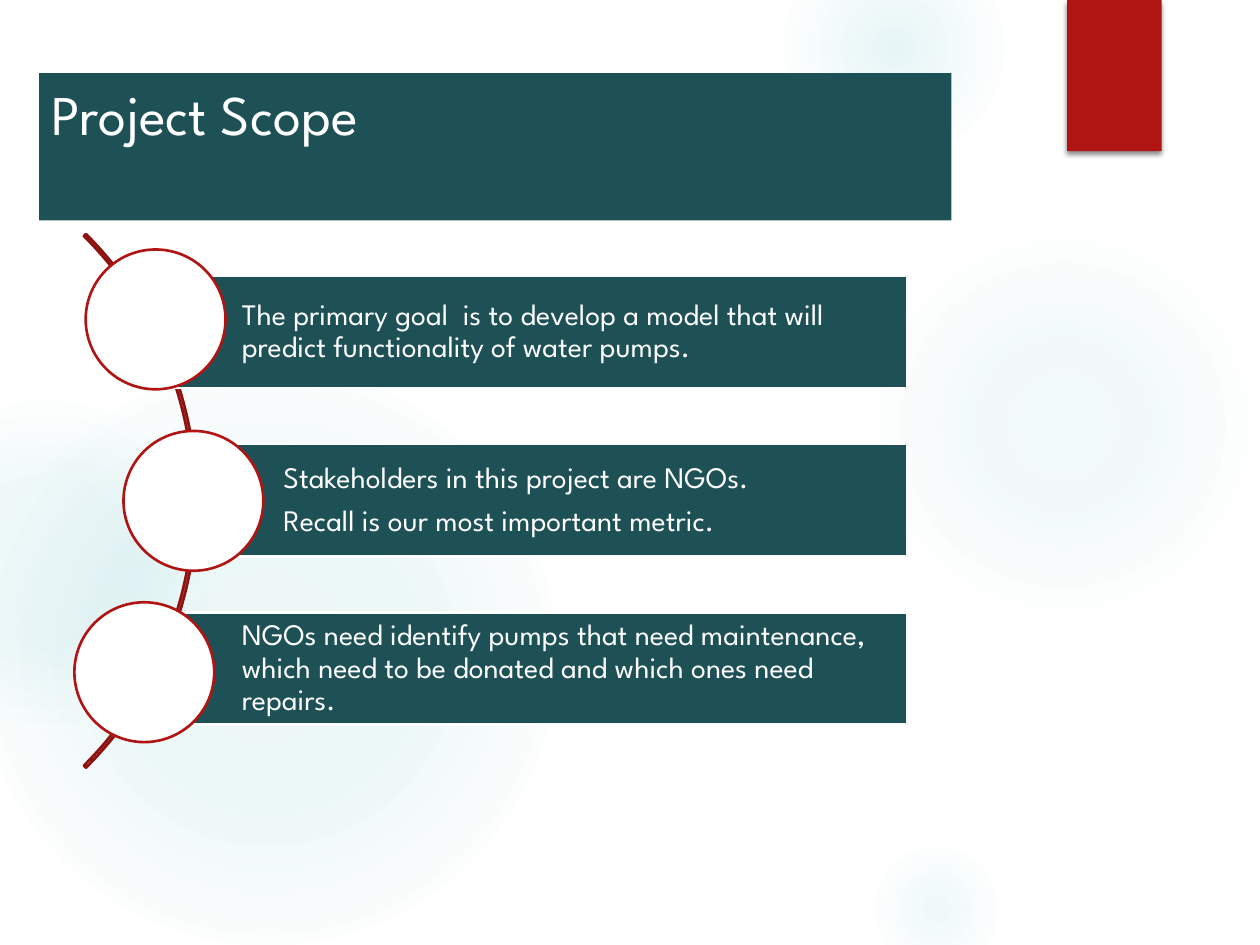
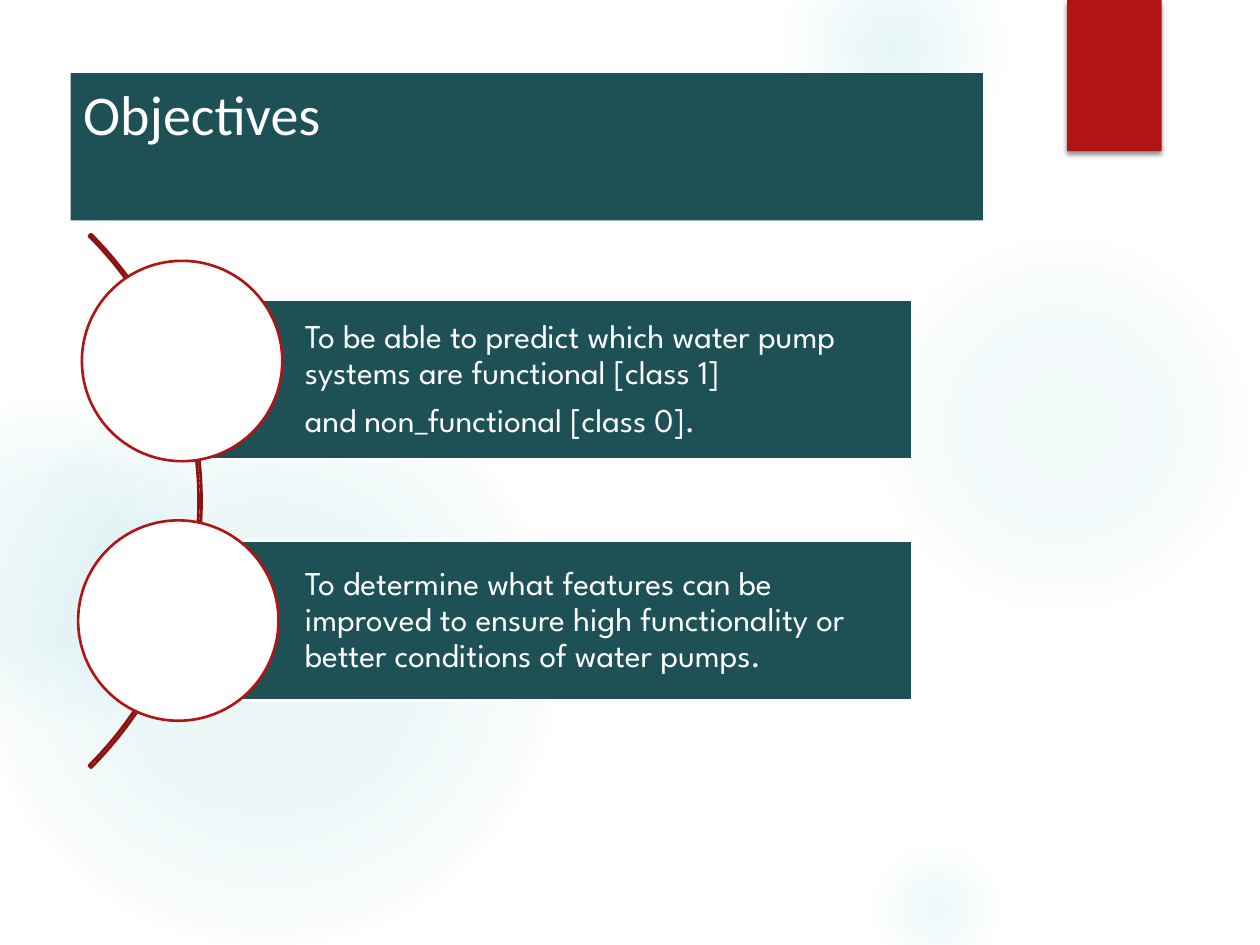
from lxml import etree
from pptx import Presentation
from pptx import util as u
from pptx.dml.color import RGBColor
from pptx.enum import shapes, text
from pptx.oxml.ns import qn

COLORS = {"teal": "1E5155", "red": "B01513", "arc": "8D110F",
          "white": "FFFFFF", "glow": "50B9C1"}
SPARTAN = "League Spartan"
DRAWING = 'xmlns:a="http://schemas.openxmlformats.org/drawingml/2006/main"'
SHAPE = shapes.MSO_SHAPE


def draw(slide, kind, left, top, width, height, fill=None, line=None):
    """Add a shape, in inches, with a 1.5 pt outline if a line colour is given."""
    shape = slide.shapes.add_shape(kind, *map(u.Inches, (left, top, width, height)))
    shape.shadow.inherit = False
    if fill:
        shape.fill.solid()
        shape.fill.fore_color.rgb = RGBColor.from_string(COLORS[fill])
    else:
        shape.fill.background()
    if line:
        shape.line.color.rgb = RGBColor.from_string(COLORS[line])
        shape.line.width = u.Pt(1.5)
    else:
        shape.line.fill.background()
    return shape


def write(frame, lines, size, font=SPARTAN, anchor=text.MSO_ANCHOR.MIDDLE,
          spacing=0.9, after=0.35, indent=0.1):
    frame.word_wrap = True
    frame.auto_size = text.MSO_AUTO_SIZE.NONE
    frame.vertical_anchor = anchor
    frame.margin_left = u.Inches(indent)
    frame.margin_right = frame.margin_top = frame.margin_bottom = u.Inches(0.05)
    frame.text = "\n".join(lines)
    for paragraph in frame.paragraphs:
        paragraph.alignment = text.PP_ALIGN.LEFT
        paragraph.line_spacing = spacing
        paragraph.space_after = u.Pt(after * size)
        paragraph.font.size = u.Pt(size)
        paragraph.font.name = font
        paragraph.font.color.rgb = RGBColor.from_string(COLORS["white"])


prs = Presentation()
prs.slide_width, prs.slide_height = u.Inches(10), u.Inches(7.5)
layout = prs.slide_layouts[5]
scope = prs.slides.add_slide(layout)
objectives = prs.slides.add_slide(layout)

# Shared backdrop: left, top, diameter, then (position, opacity) of each glow stop
glows = [
    (6.89, 1.83, 3.08, [(0, 7), (36, 6), (69, 0)]),
    (6.22, -0.5, 1.75, [(0, 14), (36, 7), (73, 0)]),
    (6.89, 6.67, 1.08, [(0, 9), (36, 5), (66, 0)]),
    (-0.17, 2.92, 4.58, [(0, 11), (36, 10), (75, 0)]),
    (-0.92, 3.17, 2.58, [(0, 8), (36, 8), (72, 0)]),
]
backdrop = []
for left, top, diameter, stops in glows:
    glow = draw(scope, SHAPE.OVAL, left, top, diameter, diameter)
    stop_xml = "".join(
        f'<a:gs pos="{position * 1000}"><a:srgbClr val="{COLORS["glow"]}">'
        f'<a:alpha val="{opacity * 1000}"/></a:srgbClr></a:gs>'
        for position, opacity in stops)
    gradient = etree.fromstring(
        f'<a:gradFill {DRAWING} rotWithShape="1"><a:gsLst>{stop_xml}</a:gsLst>'
        '<a:path path="circle"><a:fillToRect l="50000" t="50000" r="50000" b="50000"/>'
        '</a:path></a:gradFill>')
    properties = glow.element.spPr
    properties.replace(properties.find(qn("a:noFill")), gradient)
    backdrop.append(glow)

ribbon = draw(scope, SHAPE.RECTANGLE, 8.47, 0, 0.75, 1.2, "red")
ribbon.element.spPr.find(qn("a:effectLst")).append(etree.fromstring(
    f'<a:outerShdw {DRAWING} blurRad="{u.Pt(3)}" dist="{u.Pt(2)}" dir="5400000" '
    'rotWithShape="0"><a:srgbClr val="000000"><a:alpha val="45000"/></a:srgbClr>'
    '</a:outerShdw>'))
backdrop.append(ribbon)

# The backdrop belongs to the layout, behind its placeholders
for order, part in enumerate(backdrop):
    part.element.nvSpPr.cNvPr.set("id", str(100 + order))
    layout.shapes.element.insert(2 + order, part.element)

# Each row: bar left, circle left, circle top, lines of text
pages = [
    dict(slide=scope, title="Project Scope", font=SPARTAN, title_left=0.31,
         arc_left=-4.43, right=7.2, first=2.19, pitch=1.335, bar=0.89,
         circle=1.11, indent=0.71, size=17, rows=[
             (1.21, 0.68, 1.98, ["The primary goal  is to develop a model that will "
                                 "predict functionality of water pumps."]),
             (1.54, 0.98, 3.42, ["Stakeholders in this project are NGOs.",
                                 "Recall is our most important metric."]),
             (1.21, 0.59, 4.78, ["NGOs need identify pumps that need maintenance, which "
                                 "need to be donated and which ones need repairs."]),
         ]),
    dict(slide=objectives, title="Objectives", font="Calibri", title_left=0.56,
         arc_left=-4.39, right=7.24, first=2.38, pitch=1.91, bar=1.27,
         circle=1.59, indent=1.01, size=19, rows=[
             (1.41, 0.65, 2.07, ["To be able to predict which water pump systems are "
                                 "functional [class 1]",
                                 "and non_functional [class 0]."]),
             (1.41, 0.62, 4.13, ["To determine what features can be improved to ensure high "
                                 "functionality or better conditions of water pumps."]),
         ]),
]

for page in pages:
    slide = page["slide"]
    title = slide.shapes.title
    title.left, title.top = u.Inches(page["title_left"]), u.Inches(0.58)
    title.width, title.height = u.Inches(7.24), u.Inches(1.17)
    title.fill.solid()
    title.fill.fore_color.rgb = RGBColor.from_string(COLORS["teal"])
    write(title.text_frame, [page["title"]], 32, font=page["font"],
          anchor=text.MSO_ANCHOR.TOP, spacing=1.0, after=0)

    arc = draw(slide, SHAPE.BLOCK_ARC, page["arc_left"], 0.98, 5.99, 5.99, line="arc")
    for index, value in enumerate((189, 27, 0.004)):
        arc.adjustments[index] = value

    for row, (bar_left, circle_left, circle_top, lines) in enumerate(page["rows"]):
        bar = draw(slide, SHAPE.RECTANGLE, bar_left, page["first"] + row * page["pitch"],
                   page["right"] - bar_left, page["bar"], "teal", "white")
        write(bar.text_frame, lines, page["size"], indent=page["indent"])
        draw(slide, SHAPE.OVAL, circle_left, circle_top, page["circle"], page["circle"],
             "white", "red")

prs.save("out.pptx")
